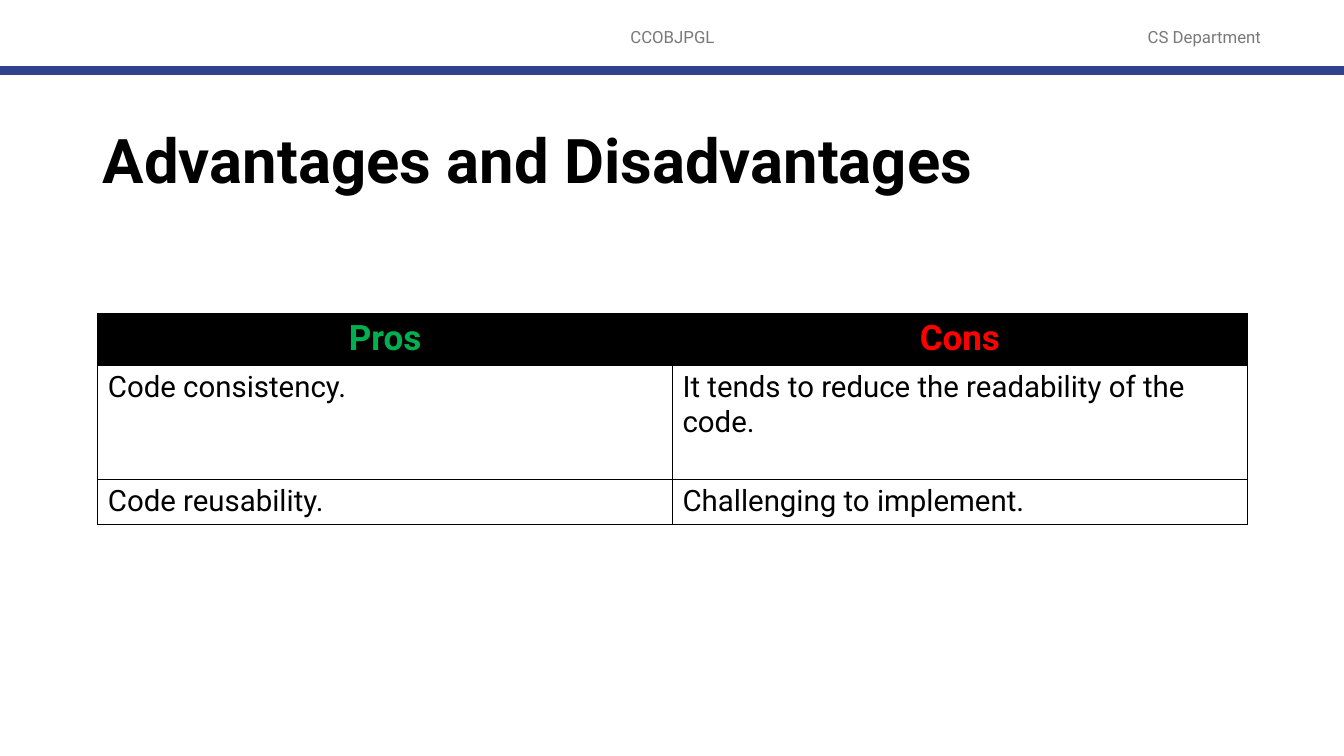
from pptx import Presentation
from pptx import util as u
from pptx.dml.color import RGBColor
from pptx.enum import shapes, text
from pptx.oxml import parse_xml
from pptx.oxml.ns import nsdecls

BLACK = "000000"
WHITE = "FFFFFF"
GRAY = "797979"
INDIGO = "32418C"
GREEN = "00B050"
RED = "FF0000"

HEADINGS = [("Pros", GREEN), ("Cons", RED)]
POINTS = [
    ("Code consistency.", "It tends to reduce the readability of the code."),
    ("Code reusability.", "Challenging to implement."),
]
ROW_HEIGHTS = [0.5, 1.13, 0.45]


def rgb(value):
    return RGBColor.from_string(value)


def inches(*lengths):
    return [u.Inches(length) for length in lengths]


def write(tf, words, size, color, bold=False, align=text.PP_ALIGN.LEFT):
    p = tf.paragraphs[0]
    p.alignment = align
    r = p.add_run()
    r.text = words
    formats = {"name": "Roboto", "size": u.Pt(size), "bold": bold}
    for name, value in formats.items():
        setattr(r.font, name, value)
    r.font.color.rgb = rgb(color)
    return p


def add_label(s, box, words):
    tf = s.shapes.add_textbox(*inches(*box)).text_frame
    tf.word_wrap = True
    tf.vertical_anchor = text.MSO_ANCHOR.MIDDLE
    write(tf, words, 12, GRAY, align=text.PP_ALIGN.CENTER)


def add_header(s, left, top, width, height):
    add_label(s, (left + 4.42, top + 0.17, 4.5, 0.4), "CCOBJPGL")
    add_label(s, (left + 10.92, top + 0.17, 2.05, 0.4), "CS Department")
    bottom = top + height
    rule = s.shapes.add_connector(
        shapes.MSO_CONNECTOR.STRAIGHT, *inches(left, bottom, left + width, bottom)
    )
    rule.line.color.rgb = rgb(INDIGO)
    rule.line.width = u.Pt(6)
    rule._element.spPr.append(parse_xml(f"<a:effectLst {nsdecls('a')}/>"))


def add_title(s, left, top, width, height):
    sp = s.shapes.title
    sp.left, sp.top, sp.width, sp.height = inches(left, top, width, height)
    tf = sp.text_frame
    tf.word_wrap = True
    tf.vertical_anchor = text.MSO_ANCHOR.MIDDLE
    p = write(tf, "Advantages and Disadvantages", 44, BLACK, bold=True)
    p.line_spacing = 0.9


def style_cell(cell, fill):
    props = cell._tc.get_or_add_tcPr()
    for side in "LRTB":
        props.append(parse_xml(
            f'<a:ln{side} {nsdecls("a")} w="12700"><a:solidFill>'
            f'<a:srgbClr val="{BLACK}"/></a:solidFill></a:ln{side}>'
        ))
    cell.fill.solid()
    cell.fill.fore_color.rgb = rgb(fill)


def add_comparison(s, left, top, width, height):
    frame = s.shapes.add_table(
        len(ROW_HEIGHTS), len(HEADINGS), *inches(left, top, width, height)
    )
    table = frame.table
    for row, row_height in zip(table.rows, ROW_HEIGHTS):
        row.height = u.Inches(row_height)
    for column, (heading, color) in enumerate(HEADINGS):
        cell = table.cell(0, column)
        style_cell(cell, BLACK)
        write(cell.text_frame, heading, 25, color, True, text.PP_ALIGN.CENTER)
        for row, points in enumerate(POINTS, start=1):
            cell = table.cell(row, column)
            style_cell(cell, WHITE)
            write(cell.text_frame, points[column], 21, BLACK)


def main():
    prs = Presentation()
    prs.slide_width, prs.slide_height = inches(13.33, 7.5)
    s = prs.slides.add_slide(prs.slide_layouts[5])
    add_header(s, 0, 0, 13.33, 0.7)
    add_title(s, 0.92, 0.9, 11.5, 1.45)
    add_comparison(s, 0.97, 3.11, 11.4, sum(ROW_HEIGHTS))
    prs.save("out.pptx")


if __name__ == "__main__":
    main()
